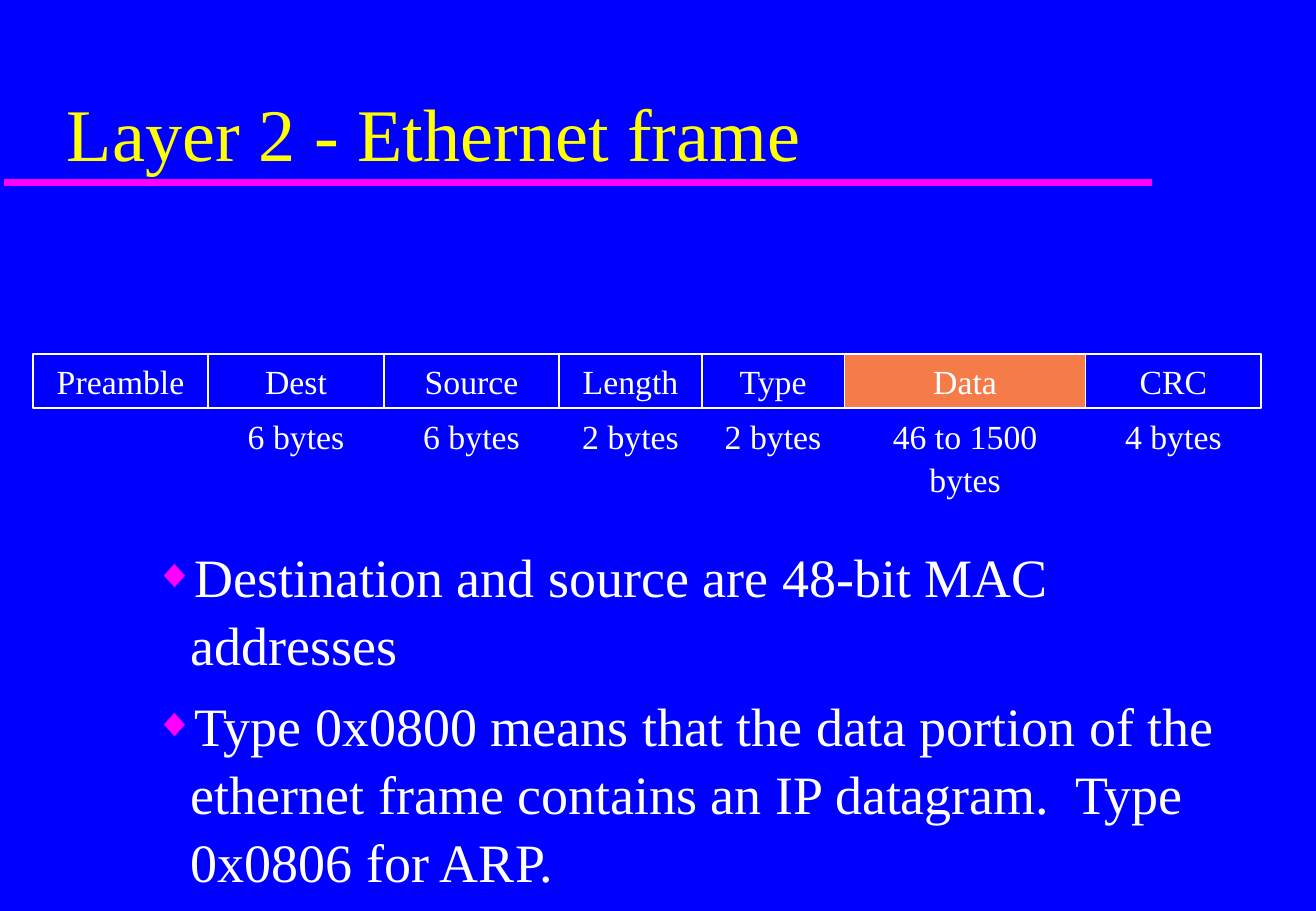
from lxml import etree
from pptx import Presentation
from pptx.dml.color import RGBColor
from pptx.enum.shapes import MSO_CONNECTOR as Connector, MSO_SHAPE as Shape
from pptx.enum.text import MSO_ANCHOR as Anchor, PP_ALIGN as Align
from pptx.oxml.ns import qn
from pptx.util import Inches, Pt

WIDTH, HEIGHT = Inches(10.83), Inches(7.5)
COLUMNS, ROWS = 120, 180

# Name, width in columns, size label
FIELDS = [
    ("Preamble", 16, None),
    ("Dest", 16, "6 bytes"),
    ("Source", 16, "6 bytes"),
    ("Length", 13, "2 bytes"),
    ("Type", 13, "2 bytes"),
    ("Data", 22, "46 to 1500 bytes"),
    ("CRC", 16, "4 bytes"),
]
NOTES = [
    "Destination and source are 48-bit MAC addresses",
    "Type 0x0800 means that the data portion of the ethernet frame "
    "contains an IP datagram.  Type 0x0806 for ARP.",
]


def color(value):
    return RGBColor.from_string(value)


class FrameSlide:
    FONT = "Times New Roman"
    BLUE, WHITE, YELLOW = "0000FF", "FFFFFF", "FFFF00"
    MAGENTA, ORANGE = "FF00FF", "F57B49"

    def __init__(self, presentation):
        self.slide = presentation.slides.add_slide(presentation.slide_layouts[5])
        fill = self.slide.background.fill
        fill.solid()
        fill.fore_color.rgb = color(self.BLUE)

    def box(self, column, row, columns, rows):
        """Turn grid cells into left, top, width and height."""
        return (int(WIDTH * column / COLUMNS), int(HEIGHT * row / ROWS),
                int(WIDTH * columns / COLUMNS), int(HEIGHT * rows / ROWS))

    def format_text(self, paragraph, size, text_color, align=Align.LEFT):
        paragraph.alignment = align
        for run in paragraph.runs:
            run.font.name = self.FONT
            run.font.size = Pt(size)
            run.font.color.rgb = color(text_color)

    def title(self, text, *cells):
        shape = self.slide.shapes.title
        shape.left, shape.top, shape.width, shape.height = self.box(*cells)
        frame = shape.text_frame
        frame.text = text
        frame.vertical_anchor = Anchor.BOTTOM
        self.format_text(frame.paragraphs[0], 44, self.YELLOW)

    def rule(self, column, row, columns):
        left, top, width, _ = self.box(column, row, columns, 0)
        line = self.slide.shapes.add_connector(
            Connector.STRAIGHT, left, top, left + width, top)
        line.line.color.rgb = color(self.MAGENTA)
        line.line.width = Pt(4)
        etree.SubElement(line._element.spPr, qn("a:effectLst"))

    def field(self, text, cells, fill_color=None):
        shape = self.slide.shapes.add_shape(Shape.RECTANGLE, *self.box(*cells))
        shape.shadow.inherit = False
        if fill_color:
            shape.fill.solid()
            shape.fill.fore_color.rgb = color(fill_color)
        else:
            shape.fill.background()
        shape.line.color.rgb = color(self.WHITE)
        shape.line.width = Pt(1)
        shape.text_frame.text = text
        self.format_text(shape.text_frame.paragraphs[0], 20, self.WHITE, Align.CENTER)

    def text_box(self, cells):
        frame = self.slide.shapes.add_textbox(*self.box(*cells)).text_frame
        frame.word_wrap = True
        return frame

    def label(self, text, cells):
        frame = self.text_box(cells)
        frame.text = text
        frame.paragraphs[0].line_spacing = 1.05
        self.format_text(frame.paragraphs[0], 20, self.WHITE, Align.CENTER)

    def bullets(self, texts, cells):
        frame = self.text_box(cells)
        frame.text = "\n".join(texts)
        for index, paragraph in enumerate(frame.paragraphs):
            properties = paragraph._p.get_or_add_pPr()
            properties.set("marL", str(Inches(0.3)))
            properties.set("indent", str(-Inches(0.3)))
            bullet_color = etree.SubElement(properties, qn("a:buClr"))
            etree.SubElement(bullet_color, qn("a:srgbClr"), val=self.MAGENTA)
            etree.SubElement(properties, qn("a:buSzPct"), val="75000")
            etree.SubElement(properties, qn("a:buFont"), typeface=self.FONT)
            etree.SubElement(properties, qn("a:buChar"), char="◆")
            paragraph.line_spacing = 1.05
            paragraph.space_before = Pt(7.7 if index else 0)
            self.format_text(paragraph, 32, self.WHITE)


def main():
    presentation = Presentation()
    presentation.slide_width, presentation.slide_height = WIDTH, HEIGHT
    page = FrameSlide(presentation)

    # Heading with its rule
    page.rule(0.33, 36, 104.7)
    page.title("Layer 2 - Ethernet frame", 5, 7, 102, 29)

    # Frame fields and their sizes, left to right
    column, row, height = 3, 70, 10.6
    for name, columns, size in FIELDS:
        fill = page.ORANGE if name == "Data" else None
        page.field(name, (column, row, columns, height), fill)
        if size:
            page.label(size, (column, row + height, columns, height))
        column += columns

    # Notes
    page.bullets(NOTES, (13, 105.6, 101.4, 70))

    presentation.save("out.pptx")


if __name__ == "__main__":
    main()
